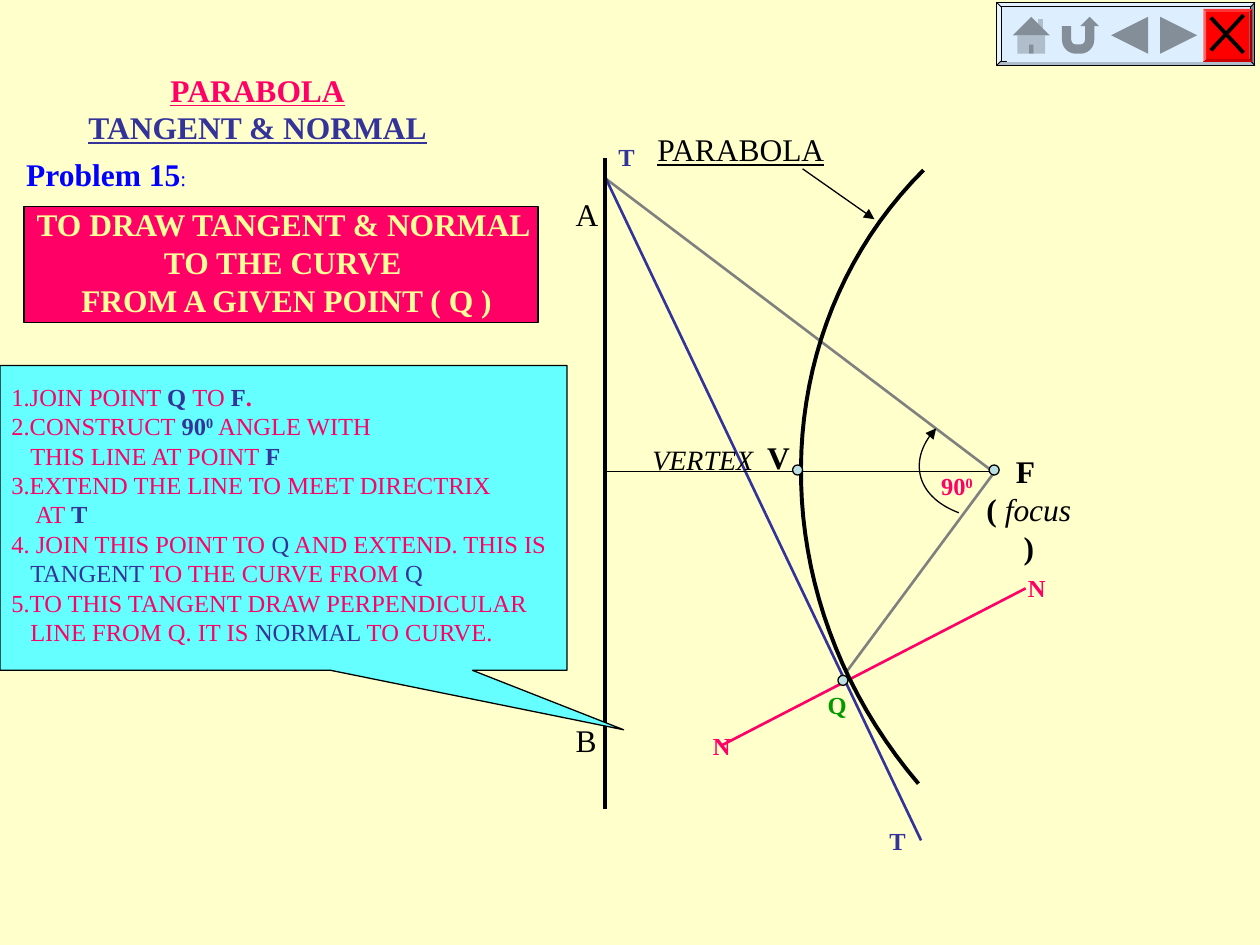
from lxml import etree
from pptx import Presentation
from pptx.dml.color import RGBColor
from pptx.enum import shapes, text
from pptx.oxml import ns
from pptx.util import Inches, Pt

BLACK = RGBColor(0x00, 0x00, 0x00)
GRAY = RGBColor(0x80, 0x80, 0x80)
NAVY = RGBColor(0x33, 0x33, 0x99)
PINK = RGBColor(0xFF, 0x00, 0x66)
GREEN = RGBColor(0x00, 0x99, 0x00)
BLUE = RGBColor(0x00, 0x00, 0xFF)
RED = RGBColor(0xFF, 0x00, 0x00)
CREAM = RGBColor(0xFF, 0xFF, 0xCC)
YELLOW = RGBColor(0xFF, 0xFF, 0x99)
CYAN = RGBColor(0x66, 0xFF, 0xFF)
PALE = RGBColor(0xBB, 0xE0, 0xE3)
ICE = RGBColor(0xDD, 0xEE, 0xFF)
LEFT, CENTER = text.PP_ALIGN.LEFT, text.PP_ALIGN.CENTER
PRESET = shapes.MSO_SHAPE


def write(box, size, paragraphs, align=LEFT, wrap=False):
    frame = box.text_frame
    frame.word_wrap = wrap
    frame.vertical_anchor = text.MSO_ANCHOR.TOP
    frame.auto_size = text.MSO_AUTO_SIZE.NONE if wrap else text.MSO_AUTO_SIZE.SHAPE_TO_FIT_TEXT
    for index, (indent, spans) in enumerate(paragraphs):
        para = frame.add_paragraph() if index else frame.paragraphs[0]
        properties = para._p.get_or_add_pPr()
        properties.set("marL", str(Inches(indent)))
        properties.set("indent", "0")
        etree.SubElement(properties, ns.qn("a:buNone"))
        para.alignment = align
        para.space_before = Pt(0)
        for words, color, style in spans:
            span = para.add_run()
            span.text = words
            span.font.name = "Times New Roman"
            span.font.size = Pt(size)
            span.font.color.rgb = color
            span.font.bold = "b" in style
            span.font.italic = "i" in style
            span.font.underline = "u" in style
            if "^" in style:
                span.font._element.set("baseline", "30000")


def paint(shape, fill, color=None, width=0.75, arrow=False):
    if hasattr(shape, "shadow"):
        shape.shadow.inherit = False
    else:
        etree.SubElement(shape._element.spPr, ns.qn("a:effectLst"))
    if fill is not None:
        shape.fill.solid()
        shape.fill.fore_color.rgb = fill
    elif hasattr(shape, "fill"):
        shape.fill.background()
    if color is None:
        shape.line.fill.background()
    else:
        shape.line.color.rgb = color
        shape.line.width = Pt(width)
    if arrow:
        etree.SubElement(shape.line._get_or_add_ln(), ns.qn("a:tailEnd"), type="triangle")


deck = Presentation()
deck.slide_width, deck.slide_height = Inches(10), Inches(7.5)
page = deck.slides.add_slide(deck.slide_layouts[1])
page.background.fill.solid()
page.background.fill.fore_color.rgb = CREAM

title, steps = page.placeholders
title.left, title.top, title.width, title.height = map(Inches, (0.59, 0.51, 2.91, 0.7))
write(title, 18, [(0, [("PARABOLA", PINK, "bu")]),
                  (0, [("TANGENT & NORMAL", NAVY, "bu")])], CENTER, True)

lines = [
    (6.72, 5.33, 7.89, 3.75, GRAY, 1.5, False),
    (7.89, 3.75, 4.81, 1.42, GRAY, 1.5, False),
    (4.81, 1.42, 7.31, 6.67, NAVY, 1.5, False),
    (5.72, 5.92, 8.14, 4.67, PINK, 1.5, False),
    (4.8, 1.25, 4.8, 6.42, BLACK, 2.25, False),
    (6.37, 1.34, 6.94, 1.74, BLACK, 0.75, True),
    (4.8, 3.74, 7.93, 3.74, BLACK, 0.75, False),
]
for x1, y1, x2, y2, color, width, arrow in lines:
    line = page.shapes.add_connector(shapes.MSO_CONNECTOR.STRAIGHT,
                                     *map(Inches, (x1, y1, x2, y2)))
    paint(line, None, color, width, arrow)

parabola = [(7.33, 1.35), (6.05, 2.63), (6.03, 4.74), (7.29, 6.22)]
right_angle = [(7.61, 4.07), (7.24, 3.93), (7.22, 3.62), (7.43, 3.4)]
for controls, width, arrow in ((parabola, 2.25, False), (right_angle, 0.75, True)):
    points = []
    for step in range(41):
        t = step / 40
        weights = ((1 - t) ** 3, 3 * t * (1 - t) ** 2, 3 * t * t * (1 - t), t ** 3)
        points.append([Inches(sum(w * p[axis] for w, p in zip(weights, controls)))
                       for axis in (0, 1)])
    builder = page.shapes.build_freeform(*points[0])
    builder.add_line_segments(points[1:], close=False)
    paint(builder.convert_to_shape(), None, BLACK, width, arrow)

for x, y in ((6.29, 3.69), (7.85, 3.69), (6.65, 5.36)):
    dot = page.shapes.add_shape(PRESET.OVAL, *map(Inches, (x, y, 0.08, 0.08)))
    paint(dot, PALE, BLACK)

panel = page.shapes.add_shape(PRESET.RECTANGLE, *map(Inches, (0.19, 1.64, 4.08, 0.92)))
paint(panel, PINK, BLACK)
callout = page.shapes.add_shape(PRESET.RECTANGULAR_CALLOUT, *map(Inches, (0, 2.9, 4.5, 2.42)))
callout.adjustments[0], callout.adjustments[1] = 0.6, 0.695
paint(callout, CYAN, BLACK)

labels = [
    (4.47, 1.5, 0.38, 0.4, 18, LEFT, [[("A", BLACK, "")]]),
    (4.47, 5.67, 0.36, 0.4, 18, LEFT, [[("B", BLACK, "")]]),
    (5.12, 0.98, 1.54, 0.4, 18, LEFT, [[("PARABOLA", BLACK, "u")]]),
    (5.08, 3.46, 1, 0.37, 16, LEFT, [[("VERTEX", BLACK, "i")]]),
    (7.69, 3.54, 0.95, 0.7, 18, CENTER,
     [[("F ", BLACK, "b")], [("( ", BLACK, "b"), ("focus", BLACK, "i"), (")", BLACK, "b")]]),
    (5.99, 3.43, 0.38, 0.4, 18, LEFT, [[("V", BLACK, "b")]]),
    (6.47, 5.43, 0.35, 0.34, 14, LEFT, [[("Q", GREEN, "b")]]),
    (6.96, 6.51, 0.33, 0.34, 14, LEFT, [[("T", NAVY, "b")]]),
    (4.81, 1.08, 0.33, 0.34, 14, LEFT, [[("T", NAVY, "b")]]),
    (8.06, 4.5, 0.34, 0.34, 14, LEFT, [[("N", PINK, "b")]]),
    (5.56, 5.75, 0.34, 0.34, 14, LEFT, [[("N", PINK, "b")]]),
    (7.37, 3.69, 0.45, 0.34, 14, LEFT, [[("90", PINK, "b"), ("0", PINK, "b^")]]),
    (-0.35, 1.58, 5.25, 1, 18, CENTER,
     [[(words, YELLOW, "b")] for words in
      ("TO DRAW TANGENT & NORMAL ", "TO THE CURVE ", "FROM A GIVEN POINT ( Q )")]),
]
for x, y, width, height, size, align, rows in labels:
    box = page.shapes.add_textbox(*map(Inches, (x, y, width, height)))
    write(box, size, [(0, row) for row in rows], align)

problem = page.shapes.add_textbox(*map(Inches, (0.11, 1.18, 1.47, 0.4)))
write(problem, 18, [(0, [("Problem 15", BLUE, "b"), (":", BLUE, "")])])
problem.text_frame.paragraphs[0].runs[1].font.size = Pt(12)

page.shapes._spTree.append(steps._element)
steps.left, steps.top, steps.width, steps.height = map(Inches, (-0.01, 2.98, 4.52, 2.44))
write(steps, 14, [
    (0, [("1.JOIN POINT ", PINK, ""), ("Q ", NAVY, "b"), ("TO ", PINK, ""),
         ("F", NAVY, "b"), (".", PINK, "b")]),
    (0, [("2.CONSTRUCT ", PINK, ""), ("90", NAVY, "b"), ("0", NAVY, "b^"),
         (" ANGLE WITH", PINK, "")]),
    (0.15, [("THIS LINE AT POINT ", PINK, ""), ("F", NAVY, "b")]),
    (0, [("3.EXTEND THE LINE TO MEET DIRECTRIX", PINK, "")]),
    (0.19, [("AT ", PINK, ""), ("T", NAVY, "b")]),
    (0, [("4. JOIN THIS POINT TO ", PINK, ""), ("Q", NAVY, ""), (" AND EXTEND. THIS IS", PINK, "")]),
    (0.15, [("TANGENT", NAVY, ""), (" TO THE CURVE FROM ", PINK, ""), ("Q", NAVY, "")]),
    (0, [("5.TO THIS TANGENT DRAW PERPENDICULAR", PINK, "")]),
    (0.15, [("LINE FROM Q. IT IS ", PINK, ""), ("NORMAL ", NAVY, ""), ("TO CURVE.", PINK, "")]),
], wrap=True)

bar = page.shapes.add_shape(PRESET.BEVEL, *map(Inches, (7.91, 0.02, 2.05, 0.5)))
bar.adjustments[0] = 0.07
paint(bar, ICE, BLACK, 0.5)
buttons = [
    (PRESET.ACTION_BUTTON_HOME, ICE),
    (PRESET.ACTION_BUTTON_RETURN, ICE),
    (PRESET.ACTION_BUTTON_BACK_OR_PREVIOUS, ICE),
    (PRESET.ACTION_BUTTON_FORWARD_OR_NEXT, ICE),
    (PRESET.BEVEL, RED),
]
for index, (preset, fill) in enumerate(buttons):
    button = page.shapes.add_shape(preset, *map(Inches, (7.99 + 0.39 * index, 0.07, 0.39, 0.42)))
    if preset == PRESET.BEVEL:
        button.adjustments[0] = 0.06
    paint(button, fill)
for y1, y2 in ((0.14, 0.42), (0.4, 0.12)):
    stroke = page.shapes.add_connector(shapes.MSO_CONNECTOR.STRAIGHT,
                                       *map(Inches, (9.61, y1, 9.87, y2)))
    paint(stroke, None, BLACK, 2.25)

deck.save("out.pptx")
